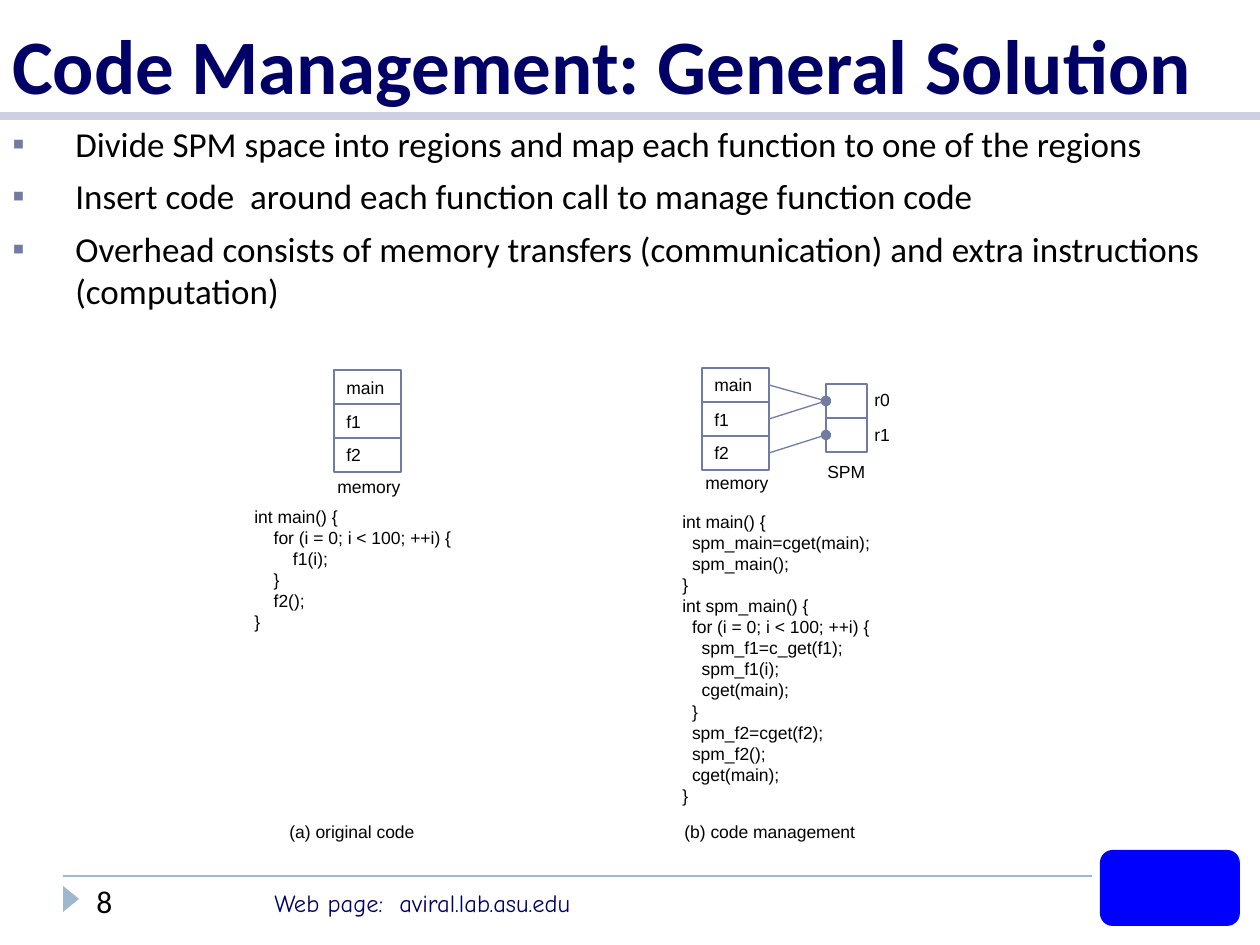
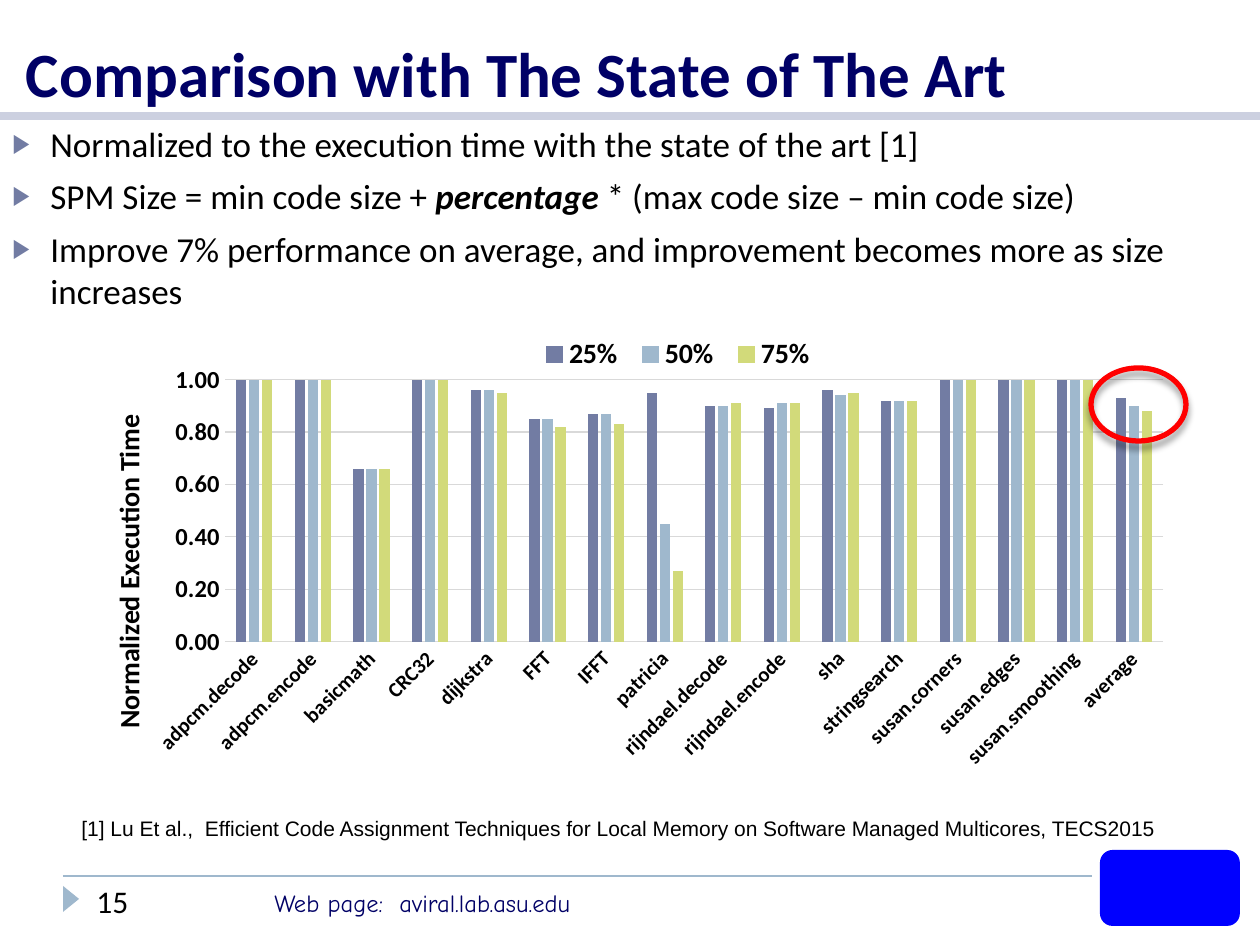
from lxml import etree
from pptx import Presentation
from pptx import util as u
from pptx.chart.data import CategoryChartData
from pptx.dml.color import RGBColor
from pptx.enum import chart as charts, shapes, text
from pptx.oxml.ns import qn

PX = 914400 // 126
COLORS = {
    "navy": "000066", "black": "000000", "slate": "727CA3", "sky": "9FB8CD",
    "lime": "D2DA7A", "band": "CCD0E0", "grid": "D9D9D9", "red": "FF0000",
    "blue": "0000FF",
}
RGB = {name: RGBColor.from_string(code) for name, code in COLORS.items()}
LABEL = {"name": "Arial", "size": u.Pt(10)}
BODY = {"name": "Calibri", "size": u.Pt(20)}


def add_node(parent, tag, **attributes):
    """Append an XML child such as a:buChar and return it."""
    node = etree.SubElement(parent, qn(tag))
    for key, value in attributes.items():
        node.set(key, str(value))
    return node


def write(box, lines, style, color="black", bullet=None):
    """Fill a shape with paragraphs; a line is a string or a list of spans.

    bullet is (character, indent in px, size in percent).
    """
    frame = box.text_frame
    frame.word_wrap = True
    for number, line in enumerate(lines):
        para = frame.add_paragraph() if number else frame.paragraphs[0]
        para.alignment = text.PP_ALIGN.LEFT
        if bullet:
            character, indent, percent = bullet
            props = para._p.get_or_add_pPr()
            props.set("marL", str(indent * PX))
            props.set("indent", str(-indent * PX))
            add_node(add_node(props, "a:buClr"), "a:srgbClr", val=COLORS["slate"])
            add_node(props, "a:buSzPct", val=percent * 1000)
            add_node(props, "a:buFont", typeface="Arial")
            add_node(props, "a:buChar", char=character)
            if number:
                para.space_before = u.Pt(6)
        for words in [line] if isinstance(line, str) else line:
            span = para.add_run()
            span.text = words
            span.font.color.rgb = RGB[color]
            for key, value in style.items():
                setattr(span.font, key, value)


deck = Presentation()
deck.slide_width, deck.slide_height = 1260 * PX, 945 * PX

# Shared frame of every slide: title, rules, footer
pages = []
for title, size, left_margin, number in [
    ("Code Management: General Solution", 44, 12, "8"),
    ("Comparison with The State of The Art", 36, 26, "15"),
]:
    page = deck.slides.add_slide(deck.slide_layouts[5])
    pages.append(page)

    for left, right, top, color, width in [
        (63, 1092, 876, "sky", 1), (0, 1260, 116, "band", 5),
    ]:
        rule = page.shapes.add_connector(
            shapes.MSO_CONNECTOR.STRAIGHT, left * PX, top * PX, right * PX, top * PX)
        rule.line.color.rgb = RGB[color]
        rule.line.width = u.Pt(width)
        add_node(rule._element.spPr, "a:effectLst")

    for kind, at, color, turn in [
        (shapes.MSO_SHAPE.ISOSCELES_TRIANGLE, (58, 891, 26, 16), "sky", 90),
        (shapes.MSO_SHAPE.ROUNDED_RECTANGLE, (1100, 850, 140, 76), "blue", 0),
    ]:
        mark = page.shapes.add_shape(kind, *[n * PX for n in at])
        mark.shadow.inherit = False
        mark.fill.solid()
        mark.fill.fore_color.rgb = RGB[color]
        mark.line.fill.background()
        mark.rotation = turn

    heading = page.shapes.title
    heading.left, heading.top, heading.width, heading.height = 0, 0, 1260 * PX, 116 * PX
    heading.text_frame.vertical_anchor = text.MSO_ANCHOR.BOTTOM
    heading.text_frame.auto_size = text.MSO_AUTO_SIZE.NONE
    heading.text_frame.margin_left = left_margin * PX
    write(heading, [title], {"name": "Calibri", "size": u.Pt(size), "bold": True}, "navy")

    for words, at, font, size, color in [
        ("Web page:  aviral.lab.asu.edu", (262, 882, 472, 43), "Comic Neue", 14, "navy"),
        (number, (84, 876, 178, 50), "Calibri", 18, "black"),
    ]:
        box = page.shapes.add_textbox(*[n * PX for n in at])
        write(box, [words], {"name": font, "size": u.Pt(size)}, color)

solution, comparison = pages

# Slide 1: bullets, memory diagrams and code
box = solution.shapes.add_textbox(0, 116 * PX, 1260 * PX, 262 * PX)
write(box, [
    "Divide SPM space into regions and map each function to one of the regions",
    "Insert code  around each function call to manage function code",
    "Overhead consists of memory transfers (communication) and extra instructions"
    " (computation)",
], BODY, bullet=("▪", 63, 100))

original_code = """int main() {
    for (i = 0; i < 100; ++i) {
        f1(i);
    }
    f2();
}"""
managed_code = """int main() {
  spm_main=cget(main);
  spm_main();
}
int spm_main() {
  for (i = 0; i < 100; ++i) {
    spm_f1=c_get(f1);
    spm_f1(i);
    cget(main);
  }
  spm_f2=cget(f2);
  spm_f2();
  cget(main);
}"""
for words, at in [
    (original_code, (242, 500, 242, 140)),
    (managed_code, (670, 505, 243, 310)),
    ("memory", (325, 470, 98, 34)),
    ("memory", (693, 466, 98, 34)),
    ("SPM", (815, 455, 78, 34)),
    ("r0", (862, 383, 52, 34)),
    ("r1", (862, 418, 52, 34)),
    ("(a) original code", (277, 815, 200, 34)),
    ("(b) code management", (672, 815, 223, 34)),
]:
    box = solution.shapes.add_textbox(*[n * PX for n in at])
    write(box, words.split("\n"), LABEL)

functions = ["main", "f1", "f2"]
stacks = []
for left, top, width, names in [
    (334, 370, 67, functions), (702, 368, 67, functions), (826, 384, 41, ["", ""]),
]:
    cells = []
    for row, name in enumerate(names):
        cell = solution.shapes.add_shape(
            shapes.MSO_SHAPE.RECTANGLE, left * PX, (top + 34 * row) * PX,
            width * PX, 34 * PX)
        cell.shadow.inherit = False
        cell.fill.background()
        cell.line.color.rgb = RGB["slate"]
        cell.line.width = u.Pt(0.75)
        if name:
            write(cell, [name], LABEL)
        cells.append(cell)
    stacks.append(cells)

for function, region in zip(stacks[1], [0, 0, 1]):
    arrow = solution.shapes.add_connector(shapes.MSO_CONNECTOR.STRAIGHT, 0, 0, 0, 0)
    arrow.begin_connect(function, 3)
    arrow.end_connect(stacks[2][region], 1)
    arrow.line.color.rgb = RGB["slate"]
    arrow.line.width = u.Pt(0.75)
    add_node(arrow.line._get_or_add_ln(), "a:tailEnd", type="oval")
    add_node(arrow._element.spPr, "a:effectLst")

# Slide 2: bullets, chart and citation
box = comparison.shapes.add_textbox(0, 116 * PX, 1228 * PX, 199 * PX)
write(box, [
    "Normalized to the execution time with the state of the art [1]",
    ["SPM Size = min code size + ", "percentage", " * (max code size – min code size)"],
    "Improve 7% performance on average, and improvement becomes more as size increases",
], BODY, bullet=("▶", 38, 76))
emphasis = box.text_frame.paragraphs[1].runs[1].font
emphasis.bold = emphasis.italic = True

data = CategoryChartData()
data.categories = [
    "adpcm.decode", "adpcm.encode", "basicmath", "CRC32", "dijkstra", "FFT", "IFFT",
    "patricia", "rijndael.decode", "rijndael.encode", "sha", "stringsearch",
    "susan.corners", "susan.edges", "susan.smoothing", "average",
]
for name, values in {
    "25%": [1, 1, 0.66, 1, 0.96, 0.85, 0.87, 0.95, 0.9, 0.89, 0.96, 0.92, 1, 1, 1, 0.93],
    "50%": [1, 1, 0.66, 1, 0.96, 0.85, 0.87, 0.45, 0.9, 0.91, 0.94, 0.92, 1, 1, 1, 0.9],
    "75%": [1, 1, 0.66, 1, 0.95, 0.82, 0.83, 0.27, 0.91, 0.91, 0.95, 0.92, 1, 1, 1, 0.88],
}.items():
    data.add_series(name, values)
chart = comparison.shapes.add_chart(
    charts.XL_CHART_TYPE.COLUMN_CLUSTERED, 94 * PX, 294 * PX, 1091 * PX, 504 * PX, data
).chart
chart.has_title = False
chart.font.name = "Calibri"
chart.font.size = u.Pt(12)
plot = chart.plots[0]
plot.gap_width, plot.overlap, plot.vary_by_categories = 219, -27, False
for series, color in zip(plot.series, ["slate", "sky", "lime"]):
    series.format.fill.solid()
    series.format.fill.fore_color.rgb = RGB[color]

names, times = chart.category_axis, chart.value_axis
for axis in (names, times):
    axis.major_tick_mark = axis.minor_tick_mark = charts.XL_TICK_MARK.NONE
names.format.line.color.rgb = RGB["grid"]
names.format.line.width = u.Pt(0.75)
times.format.line.fill.background()
times.minimum_scale, times.maximum_scale, times.major_unit = 0, 1, 0.2
times.has_major_gridlines = True
times.major_gridlines.format.line.color.rgb = RGB["grid"]
times.major_gridlines.format.line.width = u.Pt(0.75)
times.tick_labels.number_format = "#,##0.00"
times.tick_labels.number_format_is_linked = False
times.axis_title.text_frame.text = "Normalized Execution Time"
times.axis_title.text_frame._txBody.bodyPr.set("rot", "-5400000")

chart.has_legend = True
legend = chart.legend
legend.position = charts.XL_LEGEND_POSITION.BOTTOM
legend.include_in_layout = False
axis_words = times.axis_title.text_frame.paragraphs[0].runs[0]
for font, size in [
    (names.tick_labels.font, 12), (times.tick_labels.font, 14),
    (axis_words.font, 16), (legend.font, 16),
]:
    font.name, font.size, font.bold = "Calibri", u.Pt(size), True
    font.color.rgb = RGB["black"]
names._element.find(qn("c:txPr")).find(qn("a:bodyPr")).set("rot", "-2700000")

plot_area = chart._chartSpace.chart.plotArea
for part, index, place in [
    (plot_area, 0, {"x": 0.12, "y": 0.17, "w": 0.86, "h": 0.52}),
    (times.axis_title._element, 1, {"x": 0.01, "y": 0.23}),
    (legend._element, 1, {"x": 0.4, "y": 0.08, "w": 0.27, "h": 0.08}),
]:
    for old in part.findall(qn("c:layout")):
        part.remove(old)
    layout = etree.Element(qn("c:layout"))
    manual = add_node(layout, "c:manualLayout")
    if part is plot_area:
        add_node(manual, "c:layoutTarget", val="inner")
    for mode in ("c:xMode", "c:yMode"):
        add_node(manual, mode, val="edge")
    for key, value in place.items():
        add_node(manual, "c:" + key, val=value)
    part.insert(index, layout)

ring = comparison.shapes.add_shape(
    shapes.MSO_SHAPE.OVAL, 1091 * PX, 368 * PX, 95 * PX, 73 * PX)
ring.shadow.inherit = False
ring.fill.background()
ring.line.color.rgb = RGB["red"]
ring.line.width = u.Pt(3)
shadow = add_node(
    ring._element.spPr.find(qn("a:effectLst")), "a:outerShdw",
    blurRad=u.Pt(4), dist=u.Pt(3.4), dir=5400000, rotWithShape=0)
add_node(add_node(shadow, "a:srgbClr", val=COLORS["black"]), "a:alpha", val=40000)

box = comparison.shapes.add_textbox(69 * PX, 809 * PX, 1106 * PX, 38 * PX)
write(box, [
    "[1] Lu Et al.,  Efficient Code Assignment Techniques for Local Memory on "
    "Software Managed Multicores, TECS2015",
], {"name": "Arial", "size": u.Pt(12)})

deck.save("out.pptx")
